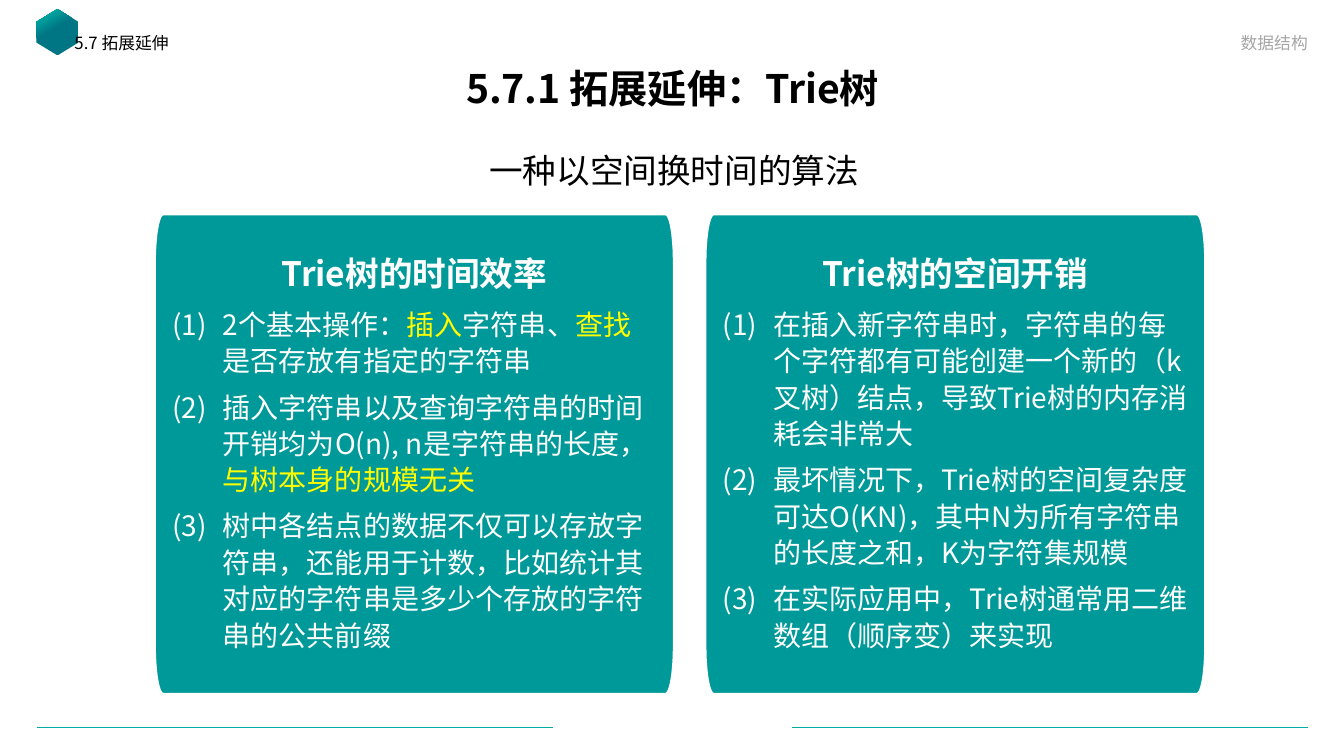
from math import cos, pi, sin

from lxml.etree import SubElement
from pptx import Presentation
from pptx.dml.color import RGBColor
from pptx.enum.shapes import MSO_CONNECTOR, MSO_SHAPE
from pptx.enum.text import MSO_ANCHOR as ANCHOR, PP_ALIGN as ALIGN
from pptx.oxml.ns import qn
from pptx.util import Inches, Pt

FONT = "Noto Sans CJK SC"
WHITE, YELLOW, BLACK, GREY = "FFFFFF", "FFFF00", "000000", "A6A6A6"
CARD_TEAL, RULE_TEAL, DEEP_TEAL = "009999", "00ABA5", "007684"

TIME_POINTS = [
    [("2个基本操作：", WHITE), ("插入", YELLOW), ("字符串、", WHITE),
     ("查找", YELLOW), ("是否存放有指定的字符串", WHITE)],
    [("插入字符串以及查询字符串的时间开销均为O(n), n是字符串的长度，", WHITE),
     ("与树本身的规模无关", YELLOW)],
    [("树中各结点的数据不仅可以存放字符串，还能用于计数，"
      "比如统计其对应的字符串是多少个存放的字符串的公共前缀", WHITE)],
]
SPACE_POINTS = [
    [("在插入新字符串时，字符串的每个字符都有可能创建一个新的"
      "（k叉树）结点，导致Trie树的内存消耗会非常大", WHITE)],
    [("最坏情况下，Trie树的空间复杂度可达O(KN)，"
      "其中N为所有字符串的长度之和，K为字符集规模", WHITE)],
    [("在实际应用中，Trie树通常用二维数组（顺序变）来实现", WHITE)],
]


def color(hex_code):
    """Turn a hex string into a colour."""
    return RGBColor.from_string(hex_code)


def apply(target, settings):
    """Set every attribute named in settings on target."""
    for name, value in settings.items():
        setattr(target, name, value)


def add_run(paragraph, words, size, hex_code, bold=False):
    """Append a run in the slide's font, for Latin and Chinese alike."""
    run = paragraph.add_run()
    run.text = words
    apply(run.font, {"name": FONT, "size": Pt(size), "bold": bold})
    run.font.color.rgb = color(hex_code)
    SubElement(run.font._element, qn("a:ea"), typeface=FONT)


def add_label(slide, box, words, size, hex_code, align, anchor=ANCHOR.TOP,
              spacing=1.0, bold=False):
    """Place one line of text in the box."""
    frame = slide.shapes.add_textbox(*map(Inches, box)).text_frame
    apply(frame, {"word_wrap": True, "vertical_anchor": anchor})
    line = frame.paragraphs[0]
    apply(line, {"alignment": align, "line_spacing": spacing})
    add_run(line, words, size, hex_code, bold)


def add_emblem(slide, box):
    """Place a plain hexagon in the box."""
    hexagon = slide.shapes.add_shape(MSO_SHAPE.HEXAGON, *map(Inches, box))
    hexagon.rotation = 90
    hexagon.shadow.inherit = False
    hexagon.adjustments[0] = 0.305
    hexagon.line.fill.background()
    hexagon.fill.gradient()
    hexagon.fill.gradient_angle = 210
    shades = [(0.57, DEEP_TEAL), (0.87, RULE_TEAL)]
    for stop, (position, shade) in zip(hexagon.fill.gradient_stops, shades):
        stop.position = position
        stop.color.rgb = color(shade)


def add_header(slide, box):
    """Place emblem, section, course, title and subtitle in the box."""
    left, top, width, _ = box
    add_emblem(slide, (left - 0.3, top + 0.11, 0.46, 0.42))
    add_label(slide, (left + 0.28, top + 0.62, 11.5, 0.57), "5.7.1 拓展延伸：Trie树",
              28, BLACK, ALIGN.CENTER, ANCHOR.MIDDLE, 0.9, True)
    add_label(slide, (left, top + 0.3, 5.32, 0.36), "5.7 拓展延伸",
              12, BLACK, ALIGN.LEFT, spacing=0.9)
    add_label(slide, (left + 6.79, top + 0.22, 5.64, 0.35), "数据结构",
              12, GREY, ALIGN.RIGHT, ANCHOR.BOTTOM)
    add_label(slide, (left, top + 1.4, width, 0.64), "一种以空间换时间的算法",
              24, BLACK, ALIGN.CENTER, spacing=1.1)


def add_footer(slide, box):
    """Draw a rule at either end of the box."""
    left, top, width, rule = box
    for start in (left, left + width - rule):
        line = slide.shapes.add_connector(
            MSO_CONNECTOR.STRAIGHT,
            *map(Inches, (start + rule, top, start, top)))
        line.line.width = Pt(0.5)
        line.line.color.rgb = color(RULE_TEAL)
        SubElement(line._element.spPr, qn("a:effectLst"))


def card_outline(box, radius_x=0.08, radius_y=0.47, steps=12):
    """List the points of a box with elliptical corners, clockwise."""
    left, top, width, height = box
    right, bottom = left + width - radius_x, top + height - radius_y
    left, top = left + radius_x, top + radius_y
    centres = [(left, top), (right, top), (right, bottom), (left, bottom)]
    points = []
    for quarter, (x, y) in enumerate(centres):
        for step in range(steps + 1):
            angle = pi + (quarter + step / steps) * pi / 2
            points.append((Inches(x + radius_x * cos(angle)),
                           Inches(y + radius_y * sin(angle))))
    return points


def add_card(slide, box, heading, points):
    """Fill the box with a heading and numbered points."""
    outline = card_outline(box)
    builder = slide.shapes.build_freeform(*outline[0])
    builder.add_line_segments(outline[1:], close=True)
    card = builder.convert_to_shape()
    card.shadow.inherit = False
    card.fill.solid()
    card.fill.fore_color.rgb = color(CARD_TEAL)
    card.line.color.rgb = color(WHITE)
    card.line.width = Pt(1)

    frame = card.text_frame
    inset = Inches(0.17)
    apply(frame, {"word_wrap": True, "vertical_anchor": ANCHOR.MIDDLE,
                  "margin_left": inset, "margin_right": inset,
                  "margin_top": inset, "margin_bottom": inset})
    title = frame.paragraphs[0]
    apply(title, {"alignment": ALIGN.CENTER, "line_spacing": Pt(26),
                  "space_after": Pt(8.4)})
    add_run(title, heading, 24, WHITE, True)
    for pieces in points:
        point = frame.add_paragraph()
        apply(point, {"alignment": ALIGN.LEFT, "line_spacing": Pt(26),
                      "space_after": Pt(7)})
        properties = point._p.get_or_add_pPr()
        properties.set("marL", str(Inches(0.5)))
        properties.set("indent", str(Inches(-0.5)))
        SubElement(properties, qn("a:buFont"), typeface=FONT)
        SubElement(properties, qn("a:buAutoNum"), type="arabicParenBoth")
        for words, hex_code in pieces:
            add_run(point, words, 20, hex_code)


def main():
    """Build the slide and save it."""
    deck = Presentation()
    apply(deck, {"slide_width": Inches(13.33), "slide_height": Inches(7.5)})
    slide = deck.slides.add_slide(deck.slide_layouts[6])
    add_footer(slide, (0.37, 7.22, 12.6, 5.11))
    add_header(slide, (0.64, 0, 12.09, 2.04))
    add_card(slide, (1.54, 2.13, 5.14, 4.75), "Trie树的时间效率", TIME_POINTS)
    add_card(slide, (7, 2.13, 4.95, 4.75), "Trie树的空间开销", SPACE_POINTS)
    deck.save("out.pptx")


if __name__ == "__main__":
    main()
